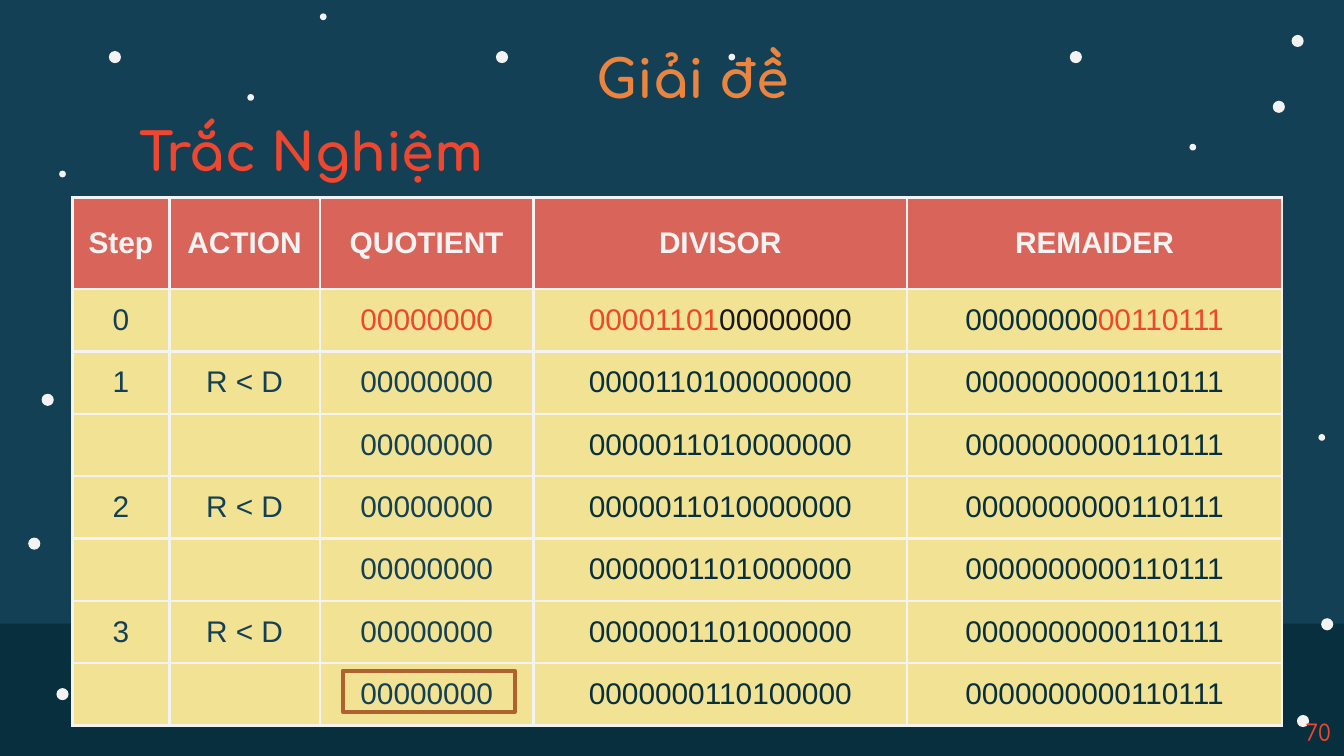
from lxml import etree
from pptx import Presentation
from pptx.dml.color import RGBColor
from pptx.enum.shapes import MSO_SHAPE
from pptx.enum.text import MSO_ANCHOR, PP_ALIGN
from pptx.oxml.ns import qn
from pptx.util import Inches, Pt

RECT, OVAL = MSO_SHAPE.RECTANGLE, MSO_SHAPE.OVAL
TOP, MIDDLE = MSO_ANCHOR.TOP, MSO_ANCHOR.MIDDLE
LEFT, CENTER, RIGHT = PP_ALIGN.LEFT, PP_ALIGN.CENTER, PP_ALIGN.RIGHT

NIGHT = RGBColor(0x14, 0x40, 0x55)
DEEP = RGBColor(0x08, 0x2F, 0x3D)
WHITE = RGBColor(0xF3, 0xF3, 0xF3)
RED = RGBColor(0xED, 0x47, 0x2F)
ORANGE = RGBColor(0xEA, 0x84, 0x3F)
CORAL = RGBColor(0xD9, 0x64, 0x59)
CREAM = RGBColor(0xF2, 0xE3, 0x94)
BLACK = RGBColor(0x18, 0x18, 0x18)
BROWN = RGBColor(0xAD, 0x62, 0x2F)

BIG_STARS = [(0.81, 0.38), (7.96, 0.38), (9.61, 0.26), (3.69, 0.38), (9.65, 5.32),
             (0.31, 2.93), (9.47, 0.75), (9.83, 4.6), (0.21, 4), (0.42, 5.12)]
SMALL_STARS = [(0.44, 1.27), (8.85, 1.07), (5.42, 0.4), (2.38, 0.1), (1.84, 0.7),
               (9.81, 3.23)]

COLUMN_WIDTHS = [0.72, 1.12, 1.59, 2.78, 2.79]
TABLE_HEIGHT, HEADER_HEIGHT = 3.93, 0.68
HEADERS = ["Step", "ACTION", "QUOTIENT", "DIVISOR", "REMAIDER"]
QUOTIENT = "00000000"
REMAINDER = "0000000000110111"
# Each cell is a list of (text, colour) runs
START_ROW = [
    [("0", NIGHT)],
    [],
    [(QUOTIENT, RED)],
    [("00001101", RED), ("00000000", BLACK)],
    [("00000000", DEEP), ("00110111", RED)],
]
STEPS = [
    ("1", "R < D", "0000110100000000"),
    ("", "", "0000011010000000"),
    ("2", "R < D", "0000011010000000"),
    ("", "", "0000001101000000"),
    ("3", "R < D", "0000001101000000"),
    ("", "", "0000000110100000"),
]


def add_filled(slide, kind, left, top, width, height, color):
    sp = slide.shapes.add_shape(kind, Inches(left), Inches(top), Inches(width), Inches(height))
    sp.shadow.inherit = False
    sp.fill.solid()
    sp.fill.fore_color.rgb = color
    sp.line.fill.background()


def add_stars(slide, positions, size):
    for left, top in positions:
        add_filled(slide, OVAL, left, top, size, size, WHITE)


def add_run(p, text, font, size, color, bold=False):
    r = p.add_run()
    r.text = text
    r.font.name = font
    r.font.size = Pt(size)
    r.font.bold = bold
    r.font.color.rgb = color


def add_label(slide, text, box, size, color, align, anchor=MIDDLE, bold=True):
    tf = slide.shapes.add_textbox(*map(Inches, box)).text_frame
    tf.word_wrap = True
    tf.vertical_anchor = anchor
    p = tf.paragraphs[0]
    p.alignment = align
    add_run(p, text, "Comfortaa", size, color, bold)


def set_borders(cell, color, width):
    """Draw all four sides; they must come before the fill in the cell XML."""
    tc_pr = cell._tc.get_or_add_tcPr()
    for i, side in enumerate(("a:lnL", "a:lnR", "a:lnT", "a:lnB")):
        ln = etree.Element(qn(side), w=str(Pt(width)))
        fill = etree.SubElement(ln, qn("a:solidFill"))
        etree.SubElement(fill, qn("a:srgbClr"), val=str(color))
        tc_pr.insert(i, ln)


def fill_cell(cell, runs, color, bold=False):
    cell.fill.solid()
    cell.fill.fore_color.rgb = color
    set_borders(cell, WHITE, 1.5)
    if not runs:
        return
    cell.vertical_anchor = MIDDLE
    cell.margin_left = cell.margin_right = Inches(0.09)
    cell.margin_top = cell.margin_bottom = Inches(0.09)
    p = cell.text_frame.paragraphs[0]
    p.alignment = CENTER
    for text, text_color in runs:
        add_run(p, text, "Arial", 16, text_color, bold)


def step_row(step, action, divisor):
    texts = [step, action, QUOTIENT, divisor, REMAINDER]
    colors = [NIGHT] * 3 + [DEEP] * 2
    return [[(text, color)] if text else [] for text, color in zip(texts, colors)]


def add_division_table(slide):
    rows = [[[(text, WHITE)] for text in HEADERS], START_ROW]
    rows += [step_row(*step) for step in STEPS]
    body_count = len(rows) - 1
    heights = [HEADER_HEIGHT] + [(TABLE_HEIGHT - HEADER_HEIGHT) / body_count] * body_count
    table = slide.shapes.add_table(
        len(rows), len(HEADERS), Inches(0.54), Inches(1.47),
        Inches(sum(COLUMN_WIDTHS)), Inches(TABLE_HEIGHT)).table
    table.horz_banding = False
    for column, width in zip(table.columns, COLUMN_WIDTHS):
        column.width = Inches(width)
    for i, (cells, height) in enumerate(zip(rows, heights)):
        table.rows[i].height = Inches(height)
        for j, runs in enumerate(cells):
            fill_cell(table.cell(i, j), runs, CREAM if i else CORAL, bold=i == 0)


def add_answer_frame(slide):
    sp = slide.shapes.add_shape(RECT, Inches(2.55), Inches(4.99), Inches(1.28), Inches(0.31))
    sp.shadow.inherit = False
    sp.fill.background()
    sp.line.color.rgb = BROWN
    sp.line.width = Pt(2)


def main():
    prs = Presentation()
    prs.slide_width = Inches(10)
    prs.slide_height = prs.slide_width * 9 // 16
    slide = prs.slides.add_slide(prs.slide_layouts[6])
    slide.background.fill.solid()
    slide.background.fill.fore_color.rgb = NIGHT

    add_filled(slide, RECT, 0, 4.64, 10, 1.02, DEEP)
    add_stars(slide, BIG_STARS, 0.09)
    add_stars(slide, SMALL_STARS, 0.05)
    add_label(slide, "70", (7.75, 5.3, 2.25, 0.3), 12, RED, RIGHT, bold=False)
    add_label(slide, "Giải đề", (0.94, 0.26, 8.43, 0.63), 28, ORANGE, CENTER)
    add_label(slide, "Trắc Nghiệm", (0.94, 0.84, 5, 0.57), 28, RED, LEFT, TOP)
    add_division_table(slide)
    add_answer_frame(slide)
    prs.save("out.pptx")


if __name__ == "__main__":
    main()
